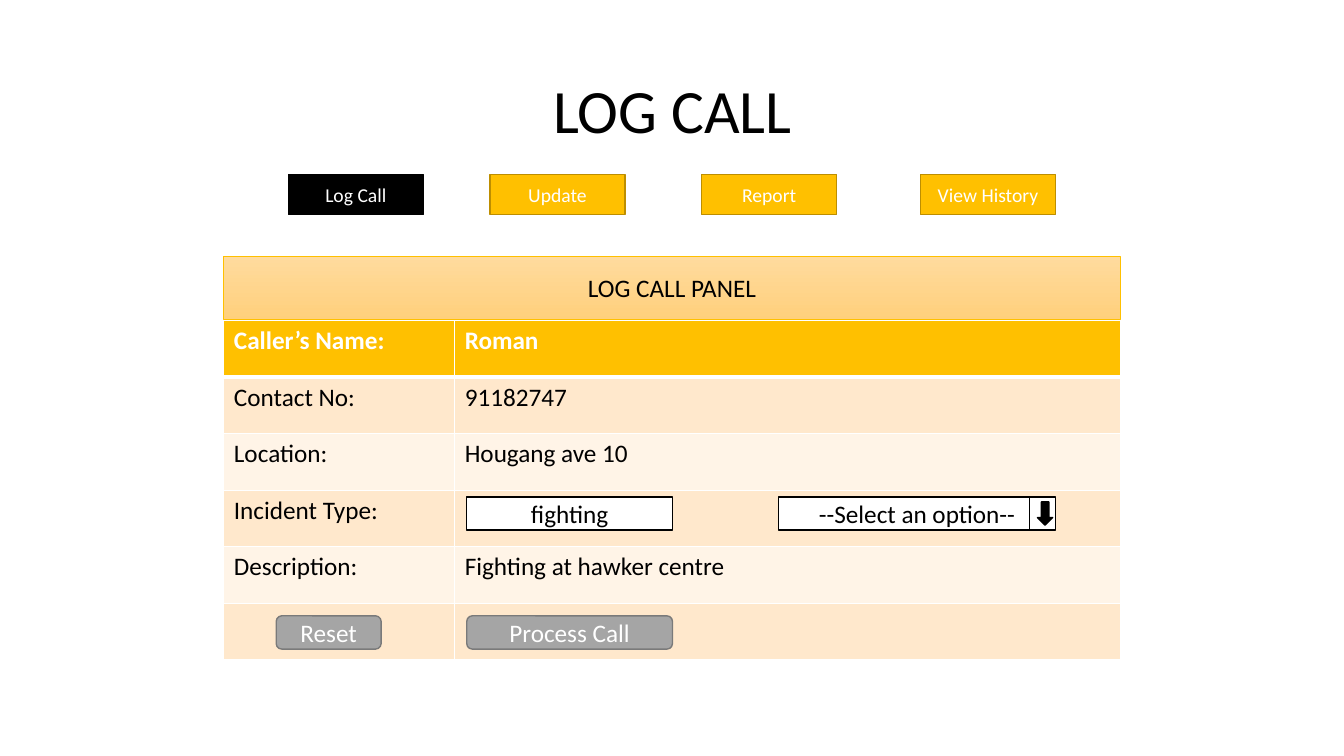
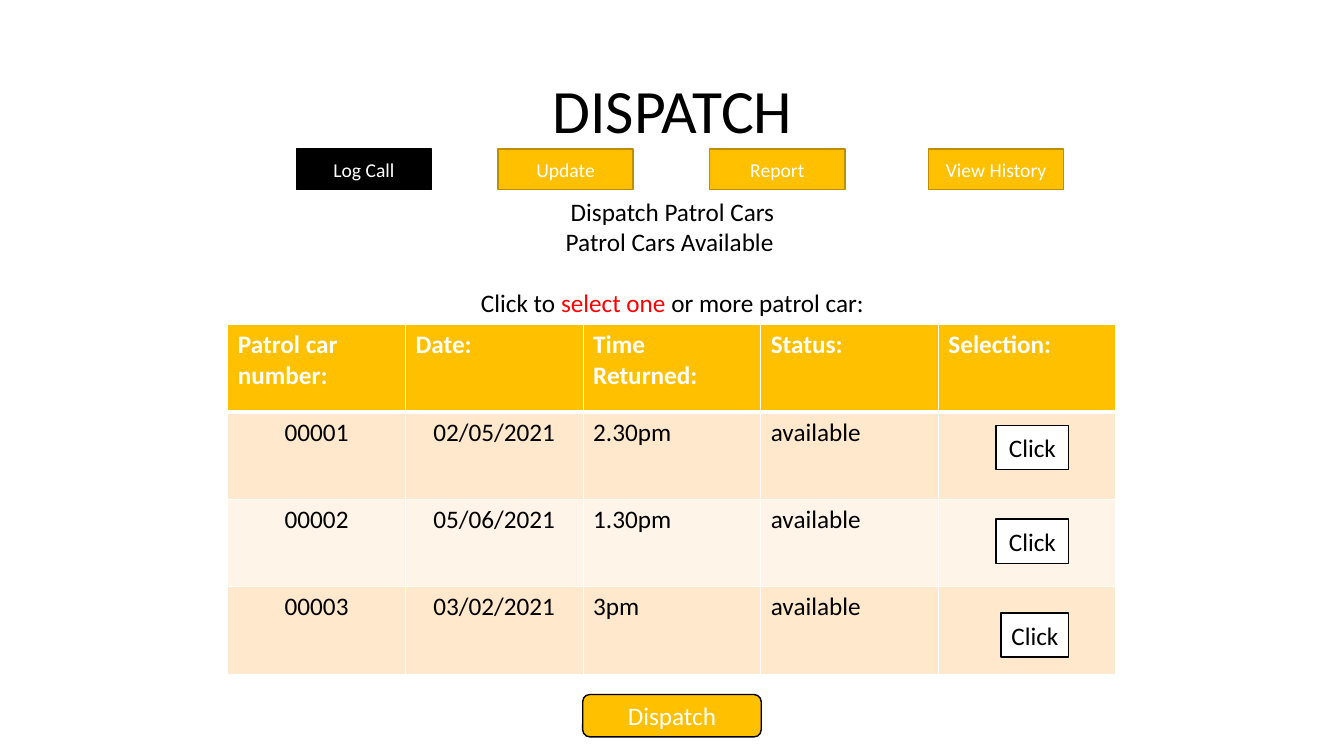
from lxml import etree
from pptx import Presentation
from pptx.dml.color import RGBColor
from pptx.enum.shapes import MSO_CONNECTOR, MSO_SHAPE
from pptx.enum.text import MSO_ANCHOR, PP_ALIGN
from pptx.oxml.ns import qn
from pptx.util import Inches, Pt

RECT = MSO_SHAPE.RECTANGLE
ROUNDED = MSO_SHAPE.ROUNDED_RECTANGLE
DOWN_ARROW = MSO_SHAPE.DOWN_ARROW
STRAIGHT = MSO_CONNECTOR.STRAIGHT
CENTER, LEFT = PP_ALIGN.CENTER, PP_ALIGN.LEFT
MIDDLE = MSO_ANCHOR.MIDDLE

FONT = "Calibri"
COLORS = {
    "black": "000000",
    "white": "FFFFFF",
    "red": "FF0000",
    "gold": "FFC000",
    "gold_edge": "BD8E00",
    "band_dark": "FFE8CC",
    "band_light": "FFF4E7",
    "panel_top": "FFDB9E",
    "panel_bottom": "FFD07C",
    "gray": "A5A5A5",
    "gray_edge": "7A7A7A",
}
NAV_LABELS = ["Log Call", "Update", "Report", "View History"]
NAV_OFFSETS = [0, 2, 4.1, 6.27]
TITLE_BOX = (0.92, 0.4, 11.5, 1.45)


def rgb(name):
    return RGBColor.from_string(COLORS[name])


def inches(box):
    return [Inches(length) for length in box]


def style_span(span, size, color, bold=False):
    span.font.name = FONT
    span.font.size = Pt(size)
    span.font.bold = bold
    span.font.color.rgb = rgb(color)


def style_para(para, size, color, align=CENTER, bold=False):
    para.alignment = align
    for span in para.runs:
        style_span(span, size, color, bold)


def add_box(page, box, text="", fill="white", edge="black", color="black",
            size=18, kind=RECT, weight=1):
    shape = page.shapes.add_shape(kind, *inches(box))
    shape.shadow.inherit = False
    shape.fill.solid()
    shape.fill.fore_color.rgb = rgb(fill)
    shape.line.color.rgb = rgb(edge)
    shape.line.width = Pt(weight)
    if text:
        frame = shape.text_frame
        frame.margin_left = frame.margin_right = Inches(0.05)
        frame.margin_top = frame.margin_bottom = 0
        frame.vertical_anchor = MIDDLE
        frame.text = text
        style_para(frame.paragraphs[0], size, color)
    return shape


def add_page(deck, title):
    page = deck.slides.add_slide(deck.slide_layouts.get_by_name("Title Only"))
    heading = page.shapes.title
    heading.left, heading.top, heading.width, heading.height = inches(TITLE_BOX)
    heading.text_frame.text = title
    heading.text_frame.vertical_anchor = MIDDLE
    para = heading.text_frame.paragraphs[0]
    para.line_spacing = 0.9
    style_para(para, 44, "black")
    return page


def add_nav(page, left, top, active="Log Call"):
    for label, offset in zip(NAV_LABELS, NAV_OFFSETS):
        fill, edge = ("black", "black") if label == active else ("gold", "gold_edge")
        add_box(page, (left + offset, top, 1.34, 0.4), label, fill, edge, "white", 14)


def set_borders(cell, bottom):
    properties = cell._tc.get_or_add_tcPr()
    for side, width in (("L", 1), ("R", 1), ("T", 1), ("B", bottom)):
        line = etree.SubElement(properties, qn(f"a:ln{side}"), w=str(Pt(width)))
        fill = etree.SubElement(line, qn("a:solidFill"))
        etree.SubElement(fill, qn("a:srgbClr"), val=COLORS["white"])


def add_grid(page, box, widths, rows, centered=()):
    table = page.shapes.add_table(len(rows), len(widths), *inches(box)).table
    for column, width in zip(table.columns, widths):
        column.width = Inches(width)
    for r, texts in enumerate(rows):
        header = r == 0
        band = "gold" if header else ("band_light", "band_dark")[r % 2]
        for c, text in enumerate(texts):
            cell = table.cell(r, c)
            set_borders(cell, 3 if header else 1)
            cell.fill.solid()
            cell.fill.fore_color.rgb = rgb(band)
            cell.text_frame.text = text
            align = CENTER if c in centered and not header else LEFT
            style_para(cell.text_frame.paragraphs[0], 18,
                       "white" if header else "black", align, header)


def add_panel_header(page, box):
    panel = add_box(page, box, "LOG CALL PANEL", edge="gold", weight=0.5)
    panel.fill.gradient()
    panel.fill.gradient_angle = 270
    for stop, color in zip(panel.fill.gradient_stops, ("panel_top", "panel_bottom")):
        stop.color.rgb = rgb(color)


def add_dropdown(page, box):
    left, top, width, height = box
    add_box(page, box, "--Select an option--")
    divider_x = left + width - 0.26
    divider = page.shapes.add_connector(
        STRAIGHT, *inches((divider_x, top, divider_x, top + height)))
    divider.line.color.rgb = rgb("black")
    divider.line.width = Pt(1)
    etree.SubElement(divider._element.spPr, qn("a:effectLst"))
    add_box(page, (divider_x + 0.08, top + 0.05, 0.15, 0.23),
            fill="black", kind=DOWN_ARROW)


def add_instructions(page, box):
    frame = page.shapes.add_textbox(*inches(box)).text_frame
    frame.word_wrap = True
    frame.text = "Dispatch Patrol Cars\nPatrol Cars Available "
    prompt = frame.add_paragraph()
    prompt.space_before = Pt(22)
    for text in ("Click to ", "select one ", "or more patrol car:"):
        prompt.add_run().text = text
    for para in frame.paragraphs:
        style_para(para, 18, "black")
    prompt.runs[1].font.color.rgb = rgb("red")


def build_log_call(deck):
    page = add_page(deck, "LOG CALL")
    add_nav(page, 2.86, 1.73)
    left, top, width = 2.22, 2.54, 8.89
    add_grid(page, (left, top + 0.64, width, 3.37), (2.29, 6.6), [
        ("Caller’s Name:", "Roman"),
        ("Contact No:", "91182747"),
        ("Location:", "Hougang ave 10"),
        ("Incident Type:", ""),
        ("Description:", "Fighting at hawker centre"),
        ("", ""),
    ])
    add_panel_header(page, (left, top, width, 0.63))
    field_left = left + 2.41
    for text, x, button_width in (("Reset", left + 0.52, 1.04),
                                  ("Process Call", field_left, 2.04)):
        add_box(page, (x, top + 3.57, button_width, 0.33), text,
                "gray", "gray_edge", "white", kind=ROUNDED)
    add_box(page, (field_left, top + 2.39, 2.04, 0.33), "fighting")
    add_dropdown(page, (left + 5.5, top + 2.39, 2.75, 0.33))


def build_dispatch(deck):
    page = add_page(deck, "DISPATCH")
    add_nav(page, 2.94, 1.48)
    add_instructions(page, (3.35, 1.9, 6.64, 1.31))
    left, top, width = 2.26, 3.22, 8.81
    add_grid(page, (left, top, width, 3.47), [width / 5] * 5, [
        ("Patrol car number:", "Date:", "Time Returned:", "Status:", "Selection:"),
        ("00001", "02/05/2021", "2.30pm", "available", ""),
        ("00002", "05/06/2021", "1.30pm", "available", ""),
        ("00003", "03/02/2021", "3pm", "available", ""),
    ], centered=(0, 1))
    click_right = left + 8.34
    for row, click_width in enumerate((0.72, 0.72, 0.67)):
        add_box(page, (click_right - click_width, top + 1 + 0.93 * row,
                       click_width, 0.44), "Click")
    add_box(page, (5.78, 6.89, 1.77, 0.42), "Dispatch", "gold", "black",
            "white", kind=ROUNDED)


def main():
    deck = Presentation()
    deck.slide_width, deck.slide_height = Inches(13.33), Inches(7.5)
    build_log_call(deck)
    build_dispatch(deck)
    deck.save("out.pptx")


if __name__ == "__main__":
    main()
